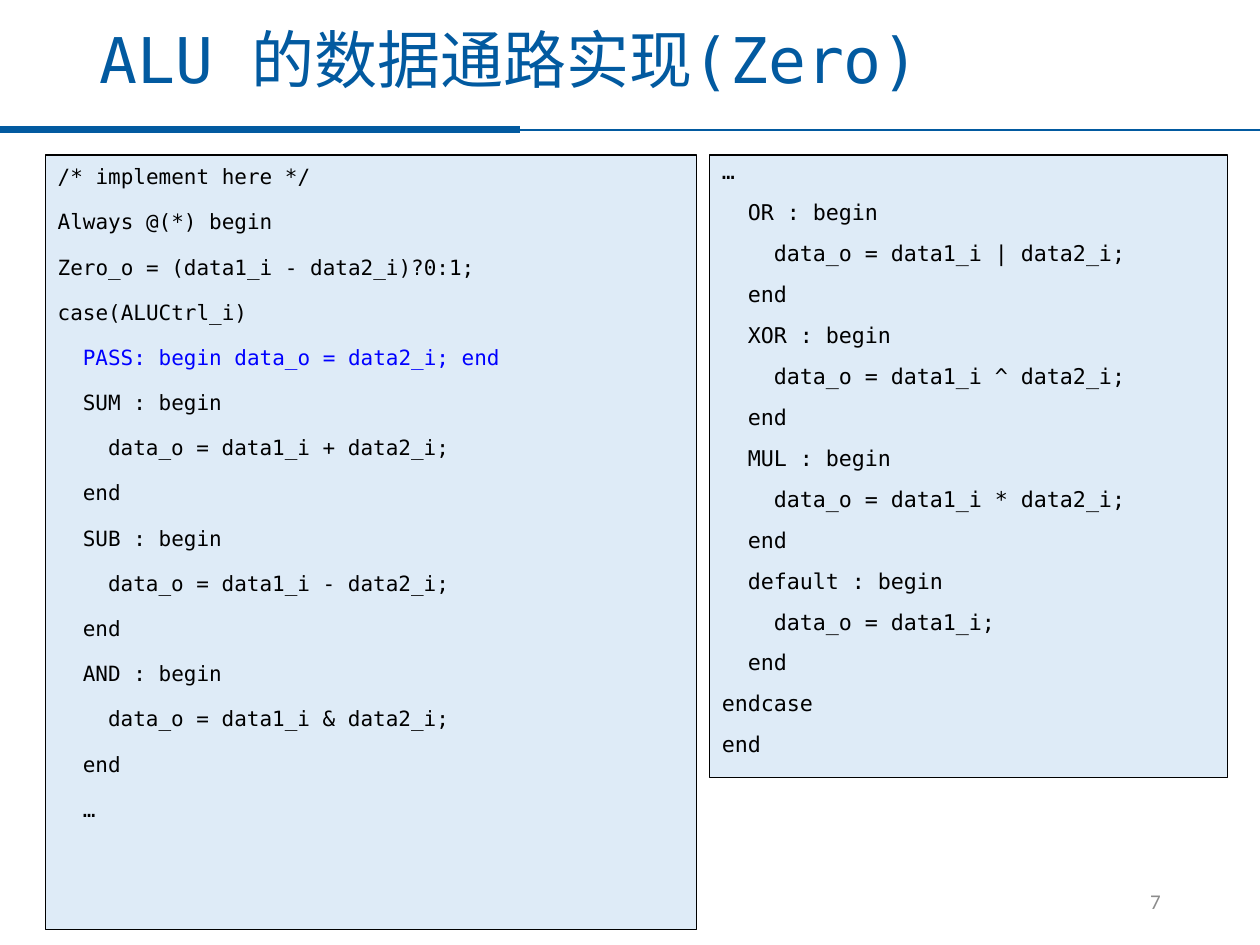
from dataclasses import dataclass

from lxml import etree
from pptx import Presentation
from pptx import util as u
from pptx.dml.color import RGBColor
from pptx.enum import shapes, text
from pptx.oxml import ns


@dataclass(frozen=True)
class Theme:
    blue: str = "025AA0"
    panel: str = "DEEBF7"
    ink: str = "000000"
    mark: str = "0000FF"
    gray: str = "8C8C8C"
    mono: str = "DejaVu Sans Mono"
    sans: str = "Calibri"
    head: float = 36
    code: float = 12
    wide: float = 12.4
    note: float = 12


T = Theme()

# Each code line: indent level, text
LEFT = [
    (0, "/* implement here */"),
    (0, "Always @(*) begin"),
    (0, "Zero_o = (data1_i - data2_i)?0:1;"),
    (0, "case(ALUCtrl_i)"),
    (1, "PASS: begin data_o = data2_i; end"),
]
RIGHT = [(1, "…")]


def branch(name, value):
    return [(1, f"{name} : begin"), (2, f"data_o = {value};"), (1, "end")]


for name, sign in (("SUM", "+"), ("SUB", "-"), ("AND", "&")):
    LEFT += branch(name, f"data1_i {sign} data2_i")
LEFT += [(1, "…")]

RIGHT = [(0, "…")]
for name, sign in (("OR", "|"), ("XOR", "^"), ("MUL", "*")):
    RIGHT += branch(name, f"data1_i {sign} data2_i")
RIGHT += branch("default", "data1_i") + [(0, "endcase"), (0, "end")]


def style(para, font, size, color):
    for run in para.runs:
        run.font.name = font
        run.font.size = u.Pt(size)
        run.font.color.rgb = RGBColor.from_string(color)


def place(shape, box):
    shape.left, shape.top, shape.width, shape.height = map(u.Inches, box)


def add_title(slide, box, words):
    title = slide.shapes.title
    place(title, box)
    frame = title.text_frame
    frame.text = words
    frame.auto_size = text.MSO_AUTO_SIZE.NONE
    frame.vertical_anchor = text.MSO_ANCHOR.MIDDLE
    para = frame.paragraphs[0]
    para.alignment = text.PP_ALIGN.LEFT
    para.line_spacing = 0.9
    style(para, T.mono, T.head, T.blue)


def add_rule(slide, start, end, top, width):
    line = slide.shapes.add_connector(
        shapes.MSO_CONNECTOR.STRAIGHT,
        *map(u.Inches, (start, top, end, top)))
    line.line.color.rgb = RGBColor.from_string(T.blue)
    line.line.width = u.Pt(width)
    props = line._element.find(ns.qn("p:spPr"))
    etree.SubElement(props, ns.qn("a:effectLst"))


def add_code(slide, box, lines, size, spacing):
    panel = slide.shapes.add_shape(
        shapes.MSO_SHAPE.RECTANGLE, *map(u.Inches, box))
    panel.shadow.inherit = False
    panel.fill.solid()
    panel.fill.fore_color.rgb = RGBColor.from_string(T.panel)
    panel.line.color.rgb = RGBColor.from_string(T.ink)
    panel.line.width = u.Pt(0.75)
    frame = panel.text_frame
    frame.word_wrap = True
    frame.vertical_anchor = text.MSO_ANCHOR.TOP
    frame.text = "\n".join(words for _, words in lines)
    # One level is two characters, each 0.6 of the type size wide
    step = u.Pt(size * 1.2)
    for para, (level, words) in zip(frame.paragraphs, lines):
        para.alignment = text.PP_ALIGN.LEFT
        para.line_spacing = spacing
        para.space_before = u.Pt(10)
        props = para._p.get_or_add_pPr()
        props.set("marL", str(level * step))
        props.set("indent", "0")
        color = T.mark if words.startswith("PASS") else T.ink
        style(para, T.mono, size, color)


def add_number(slide, box, words):
    frame = slide.shapes.add_textbox(*map(u.Inches, box)).text_frame
    frame.word_wrap = True
    frame.vertical_anchor = text.MSO_ANCHOR.MIDDLE
    frame.text = words
    para = frame.paragraphs[0]
    para.alignment = text.PP_ALIGN.RIGHT
    style(para, T.sans, T.note, T.gray)


def main():
    deck = Presentation()
    deck.slide_width, deck.slide_height = u.Inches(10), u.Inches(7.5)
    slide = deck.slides.add_slide(deck.slide_layouts[5])

    # Header
    add_rule(slide, 0, 4.13, 1.03, 4)
    add_rule(slide, 0.38, 10, 1.03, 1)
    add_title(slide, (0.69, 0.11, 8.56, 0.78), "ALU 的数据通路实现(Zero)")

    # Code panels
    add_code(slide, (0.36, 1.23, 5.17, 6.15), LEFT, T.code, 1.1)
    add_code(slide, (5.63, 1.23, 4.11, 4.94), RIGHT, T.wide, 0.9)

    # Page number
    add_number(slide, (7.06, 6.95, 2.25, 0.4), "7")
    deck.save("out.pptx")


if __name__ == "__main__":
    main()
